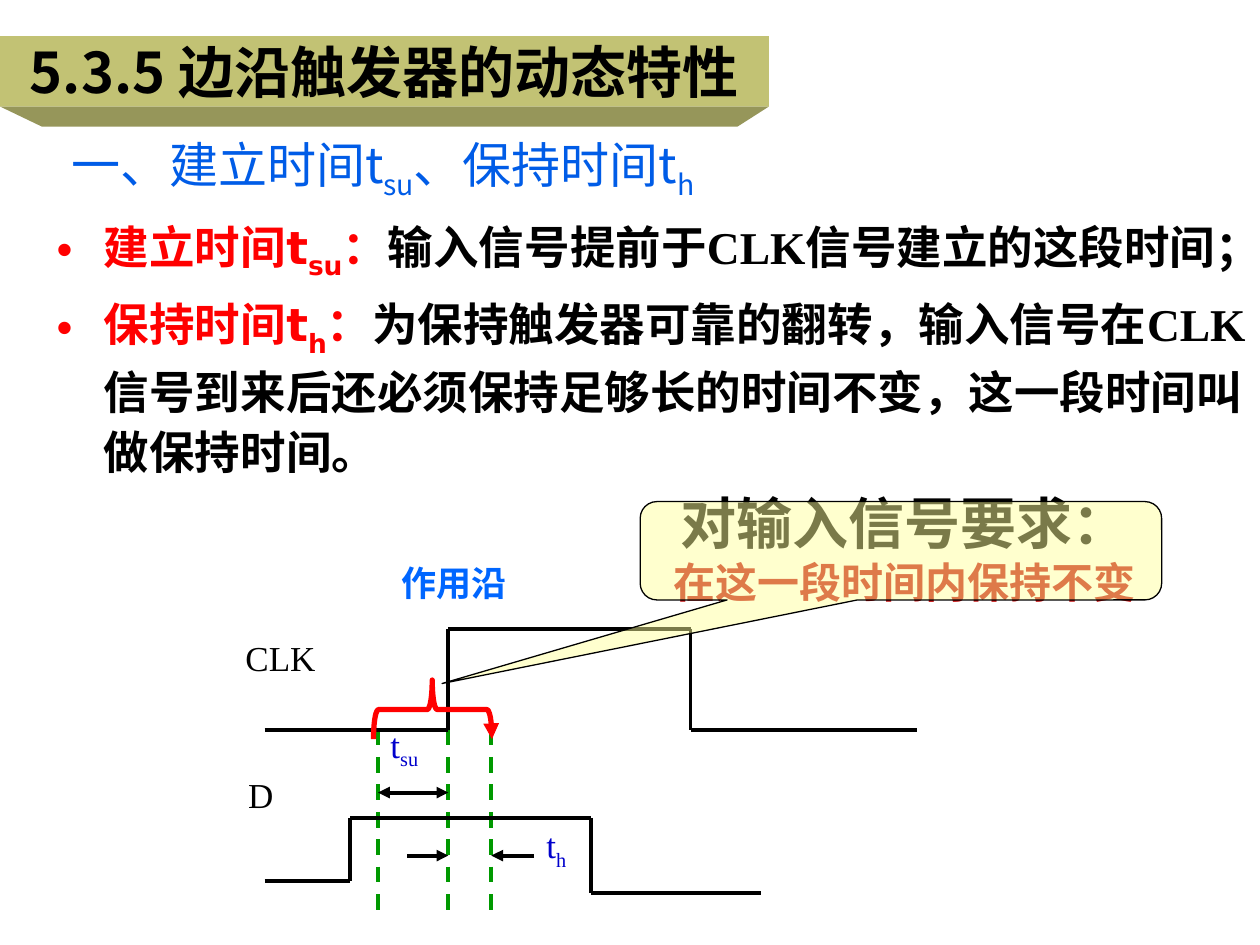
from itertools import pairwise

from lxml import etree
from pptx import Presentation
from pptx.dml.color import RGBColor
from pptx.enum import dml, shapes, text
from pptx.oxml import ns
from pptx.util import Pt

BLACK = RGBColor(0, 0, 0)
RED = RGBColor(0xFF, 0, 0)
DARK_RED = RGBColor(0xC0, 0, 0)
GREEN = RGBColor(0, 0x99, 0)
BLUE = RGBColor(0, 0x66, 0xFF)
HEADING_BLUE = RGBColor(0, 0x5C, 0xE7)
LABEL_BLUE = RGBColor(0, 0, 0xCC)
YELLOW = RGBColor(0xFF, 0xFF, 0x99)
OLIVE = RGBColor(0xC2, 0xC2, 0x74)
DARK_OLIVE = RGBColor(0x96, 0x96, 0x5A)
SERIF, SANS, LATIN_SANS = "Times New Roman", "Noto Sans CJK SC", "DejaVu Sans"


def add_xml(parent, tag, **attributes):
    """Append a drawing element to a parent element."""
    return etree.SubElement(parent, ns.qn(tag), attributes)


def add_span(para, words, size=20, font=SERIF, color=BLACK, bold=False, sub=False):
    """Add a formatted run to a paragraph."""
    span = para.add_run()
    span.text = words
    span.font.size, span.font.bold, span.font.name = Pt(size), bold, font
    span.font.color.rgb = color
    properties = span._r.get_or_add_rPr()
    add_xml(properties, "a:ea", typeface=SANS)
    if sub:
        properties.set("baseline", "-25000")


def add_label(page, left, top, width, height, words, sub="", wrap=True, **style):
    """Add a one-line text box with an optional subscript."""
    box = page.shapes.add_textbox(Pt(left), Pt(top), Pt(width), Pt(height))
    box.text_frame.word_wrap = wrap
    para = box.text_frame.paragraphs[0]
    add_span(para, words, **style)
    if sub:
        add_span(para, sub, sub=True, **style)
    return box


def add_line(page, start, end, color=BLACK, dashed=False, head=False, tail=False):
    """Draw a straight line with optional arrowheads."""
    line = page.shapes.add_connector(
        shapes.MSO_CONNECTOR.STRAIGHT, *(Pt(value) for value in (*start, *end)))
    line.line.color.rgb, line.line.width = color, Pt(2.25)
    if dashed:
        line.line.dash_style = dml.MSO_LINE.DASH
    outline = line.line._get_or_add_ln()
    if head:
        add_xml(outline, "a:headEnd", type="triangle")
    if tail:
        add_xml(outline, "a:tailEnd", type="triangle")
    add_xml(line._element.spPr, "a:effectLst")


def place(shape, left, top, width, height):
    """Move and size a shape."""
    shape.left, shape.top, shape.width, shape.height = map(Pt, (left, top, width, height))


def add_banner(page, left, top, width, height):
    """Fill the title as a bar with a bevelled lower edge."""
    bevel, inset, bottom = 11.5, 18, top + height
    builder = page.shapes.build_freeform(Pt(left), Pt(bottom), scale=1.0)
    builder.add_line_segments([(Pt(x), Pt(y)) for x, y in (
        (left + width, bottom), (left + width - inset, bottom + bevel),
        (left + inset + 6, bottom + bevel))], close=True)
    edge = builder.convert_to_shape()
    edge.shadow.inherit = False
    edge.fill.solid()
    edge.fill.fore_color.rgb = DARK_OLIVE
    edge.line.fill.background()
    title = page.shapes.title
    place(title, left, top, width, height)
    title.fill.solid()
    title.fill.fore_color.rgb = OLIVE
    frame = title.text_frame
    frame.word_wrap, frame.auto_size = False, text.MSO_AUTO_SIZE.NONE
    frame.vertical_anchor = text.MSO_ANCHOR.MIDDLE
    para = frame.paragraphs[0]
    para.alignment = text.PP_ALIGN.CENTER
    add_span(para, "5.3.5 边沿触发器的动态特性", size=32, font=SANS, bold=True)


def add_heading(page, left, top, width, height):
    """Add the section heading with its two symbols."""
    style = {"size": 28, "font": SANS, "color": HEADING_BLUE}
    box = add_label(page, left, top, width, height, "一、建立时间t", sub="su", **style)
    para = box.text_frame.paragraphs[0]
    add_span(para, "、保持时间t", **style)
    add_span(para, "h", sub=True, **style)


def add_definitions(page, left, top, width, height):
    """Fill the body with the two bulleted definitions."""
    body = page.placeholders[1]
    place(body, left, top, width, height)
    frame = body.text_frame
    frame.auto_size = text.MSO_AUTO_SIZE.NONE
    definitions = (
        ("建立时间", "su", "输入信号提前于CLK信号建立的这段时间；"),
        ("保持时间", "h", "为保持触发器可靠的翻转，输入信号在CLK信号到来后还必须"
                      "保持足够长的时间不变，这一段时间叫做保持时间。"),
    )
    style = {"size": 26, "bold": True}
    for index, (term, sub, meaning) in enumerate(definitions):
        para = frame.add_paragraph() if index else frame.paragraphs[0]
        para.line_spacing = 1.1
        add_span(para, term, color=RED, **style)
        add_span(para, "t", font=LATIN_SANS, color=RED, **style)
        add_span(para, sub, font=LATIN_SANS, color=RED, sub=True, **style)
        add_span(para, "：", color=RED, **style)
        add_span(para, meaning, **style)


def add_timing(page, left, top):
    """Draw the CLK and D waveforms with their time marks."""
    def at(x, y):
        return left + x, top + y

    setup, edge, hold = 64.8, 105, 129.6
    clock = [(0, 57.6), (edge, 57.6), (edge, 0), (243.4, 0), (243.4, 57.6), (373, 57.6)]
    data = [(0, 144), (49, 144), (49, 108), (186.5, 108), (186.5, 151.2), (283.7, 151.2)]
    for x in (edge, setup, hold):
        add_line(page, at(x, 57.6), at(x, 165.6), color=GREEN, dashed=True)
    for wave in (clock, data):
        for start, end in pairwise(wave):
            add_line(page, at(*start), at(*end))
    add_line(page, at(setup, 93.6), at(edge, 93.6), head=True, tail=True)
    add_line(page, at(81.4, 129.6), at(edge, 129.6), tail=True)
    add_line(page, at(154, 129.6), at(hold, 129.6), tail=True)
    add_label(page, *at(71.3, -41.8), 75, 31, "作用沿", wrap=False, color=BLUE, bold=True)
    add_label(page, *at(154, 108), 26.6, 31.7, "t", sub="h", wrap=False, color=LABEL_BLUE)
    add_label(page, *at(setup, 50.4), 44.6, 31, "t", sub="su", color=LABEL_BLUE)
    add_label(page, *at(-18, 0.7), 75, 31, "CLK")
    add_label(page, *at(-16.5, 79.2), 75, 31, "D")


def add_requirement(page, left, top, width, height):
    """Draw the brace and the callout on the input requirement."""
    brace = page.shapes.add_shape(
        shapes.MSO_SHAPE.RIGHT_BRACE, Pt(left - 135.4), Pt(top + 85), Pt(33.8), Pt(67.7))
    brace.rotation = 270
    brace.adjustments[0], brace.adjustments[1] = 0.083, 0.496
    brace.shadow.inherit = False
    brace.fill.background()
    brace.line.color.rgb, brace.line.width = RED, Pt(3)
    add_xml(brace.line._get_or_add_ln(), "a:tailEnd", type="triangle")

    box = add_label(page, left + 10.8, top - 10.8, 280.8, 74.9, "对输入信号要求：",
                    wrap=False, size=32, font=SANS, bold=True)
    para = box.text_frame.add_paragraph()
    add_span(para, "在这一段时间内保持不变", size=24, font=SANS, color=DARK_RED, bold=True)
    for para in box.text_frame.paragraphs:
        para.alignment = text.PP_ALIGN.CENTER

    callout = page.shapes.add_shape(shapes.MSO_SHAPE.ROUNDED_RECTANGULAR_CALLOUT,
                                    Pt(left), Pt(top), Pt(width), Pt(height))
    for index, value in enumerate((-0.88, 1.35, 0.17)):
        callout.adjustments[index] = value
    callout.shadow.inherit = False
    callout.fill.solid()
    callout.fill.fore_color.rgb = YELLOW
    color = callout._element.spPr.find(ns.qn("a:solidFill"))[0]
    add_xml(color, "a:alpha", val="48000")
    callout.line.color.rgb, callout.line.width = BLACK, Pt(0.75)


def main():
    """Build the deck."""
    deck = Presentation()
    deck.slide_width, deck.slide_height = Pt(720), Pt(540)
    page = deck.slides.add_slide(deck.slide_layouts[1])
    add_definitions(page, 25.2, 118, 694.8, 163.4)
    add_timing(page, 151.2, 359.3)
    add_heading(page, 33.8, 73.4, 544.3, 41)
    add_requirement(page, 365.8, 286.6, 298, 56.2)
    add_banner(page, 0, 20.6, 439.4, 40.3)
    deck.save("out.pptx")


main()
